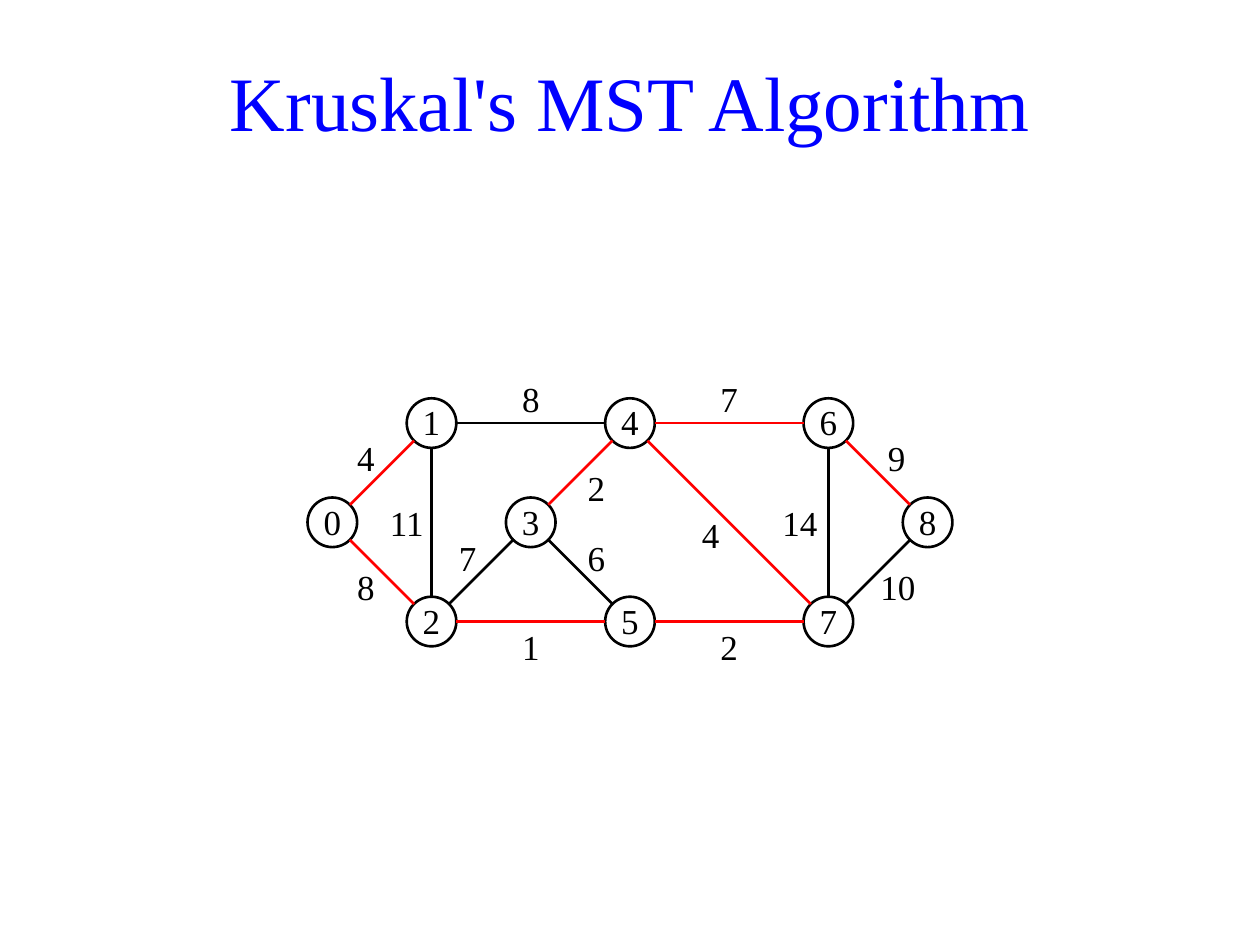
from math import hypot

from lxml.etree import SubElement
from pptx import Presentation
from pptx.dml.color import RGBColor
from pptx.enum.shapes import MSO_CONNECTOR, MSO_SHAPE
from pptx.enum.text import MSO_ANCHOR, PP_ALIGN
from pptx.oxml.ns import qn
from pptx.util import Cm, Pt

BLACK = RGBColor(0x00, 0x00, 0x00)
RED = RGBColor(0xFF, 0x00, 0x00)
BLUE = RGBColor(0x00, 0x00, 0xFF)
FONT = "Times New Roman"

ORIGIN_X, ORIGIN_Y = 6.7, 10.53
STEP = 2
DIAMETER = 1
NODE_INSETS = (0.25, 0, 0.25, 0.05)
EVEN = (0.25, 0, 0.25, 0)

NODES = [(0, 0), (1, -1), (1, 1), (2, 0), (3, -1), (3, 1), (5, -1), (5, 1), (6, 0)]

# start, end, weight, in tree, label side (x, y), label insets
EDGES = [
    (0, 1, 4, True, (-1, -1), (0.1, 0, 0.25, 0.1)),
    (0, 2, 8, True, (-1, 1), (0.1, 0.1, 0.25, 0)),
    (1, 2, 11, False, (-1, 0), (0, 0, 0, 0)),
    (1, 4, 8, False, (0, -1), EVEN),
    (2, 3, 7, False, (-1, -1), (0.2, 0, 0.25, 0.1)),
    (2, 5, 1, True, (0, 1), EVEN),
    (3, 4, 2, True, (1, 1), (0.25, 0.1, 0.1, 0)),
    (3, 5, 6, False, (1, -1), (0.25, 0, 0.1, 0.1)),
    (4, 6, 7, True, (0, -1), EVEN),
    (4, 7, 4, True, (-1, 1), (0, 0, 0.25, 0)),
    (5, 7, 2, True, (0, 1), EVEN),
    (6, 7, 14, False, (-1, 0), (0, 0, 0.15, 0)),
    (6, 8, 9, True, (1, -1), (0.25, 0, 0, 0.1)),
    (7, 8, 10, False, (1, 1), (0.3, 0.1, 0, 0)),
]


def center(node):
    col, row = NODES[node]
    return ORIGIN_X + col * STEP, ORIGIN_Y + row * STEP


def write_text(sp, text, size, color, insets=None):
    tf = sp.text_frame
    tf.text = str(text)
    tf.vertical_anchor = MSO_ANCHOR.MIDDLE
    if insets:
        tf.word_wrap = False
        tf.margin_left, tf.margin_top, tf.margin_right, tf.margin_bottom = map(Cm, insets)
    p = tf.paragraphs[0]
    p.alignment = PP_ALIGN.CENTER
    font = p.runs[0].font
    font.name, font.size = FONT, Pt(size)
    font.color.rgb = color


def add_title(s, text):
    sp = s.shapes.title
    sp.left, sp.top, sp.width, sp.height = Cm(1.2), Cm(0.53), Cm(23), Cm(3)
    write_text(sp, text, 44, BLUE)


def add_node(s, node):
    x, y = center(node)
    r = DIAMETER / 2
    sp = s.shapes.add_shape(MSO_SHAPE.OVAL, Cm(x - r), Cm(y - r), Cm(DIAMETER), Cm(DIAMETER))
    sp.shadow.inherit = False
    sp.fill.background()
    sp.line.color.rgb = BLACK
    sp.line.width = Pt(1.5)
    write_text(sp, node, 20, BLACK, NODE_INSETS)


def add_edge(s, start, end, color):
    (x1, y1), (x2, y2) = center(start), center(end)
    length = hypot(x2 - x1, y2 - y1)
    dx = (x2 - x1) / length * DIAMETER / 2
    dy = (y2 - y1) / length * DIAMETER / 2
    line = s.shapes.add_connector(
        MSO_CONNECTOR.STRAIGHT, Cm(x1 + dx), Cm(y1 + dy), Cm(x2 - dx), Cm(y2 - dy))
    line.line.color.rgb = color
    line.line.width = Pt(1.5)
    SubElement(line._element.spPr, qn("a:effectLst"))


def add_weight(s, start, end, weight, side, insets):
    (x1, y1), (x2, y2) = center(start), center(end)
    diagonal = all(side)
    size, offset = (1.5, 0.25) if diagonal else (1, 0.5)
    x = (x1 + x2) / 2 + side[0] * offset - size / 2
    y = (y1 + y2) / 2 + side[1] * offset - size / 2
    sp = s.shapes.add_textbox(Cm(x), Cm(y), Cm(size), Cm(size))
    write_text(sp, weight, 20, BLACK, insets)


def main():
    prs = Presentation()
    prs.slide_width, prs.slide_height = Cm(25.4), Cm(19.05)
    s = prs.slides.add_slide(prs.slide_layouts[5])
    add_title(s, "Kruskal's MST Algorithm")
    for node in range(len(NODES)):
        add_node(s, node)
    for start, end, weight, in_tree, side, insets in EDGES:
        add_edge(s, start, end, RED if in_tree else BLACK)
        add_weight(s, start, end, weight, side, insets)
    prs.save("out.pptx")


if __name__ == "__main__":
    main()
